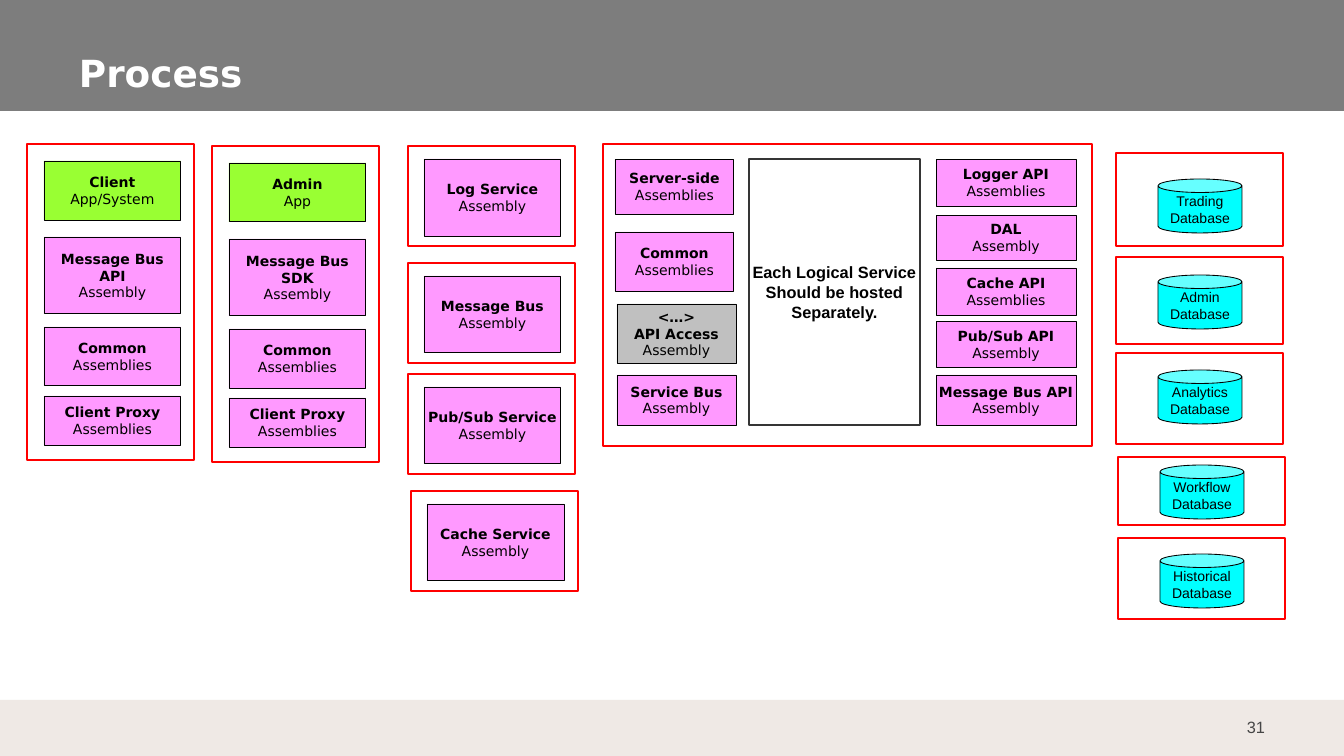
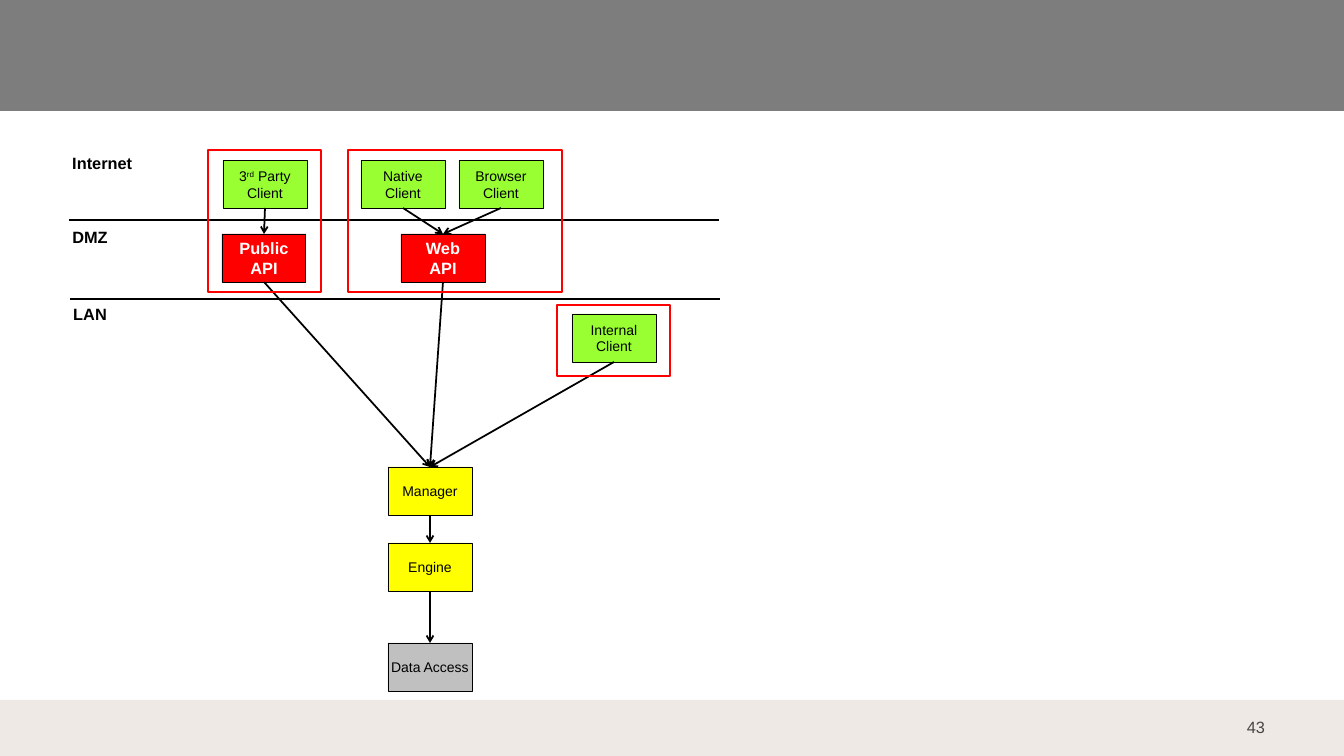
"""Build two architecture slides: process hosting and network zones."""
from pptx import Presentation
from pptx import util as u
from pptx.dml.color import RGBColor
from pptx.enum import shapes, text
from pptx.oxml.ns import qn
from lxml import etree

PX = 914400 // 84
SANS, ARIAL = "DejaVu Sans", "Arial"
BLACK = RGBColor(0x00, 0x00, 0x00)
WHITE = RGBColor(0xFF, 0xFF, 0xFF)
RED = RGBColor(0xFF, 0x00, 0x00)
PINK = RGBColor(0xFF, 0x99, 0xFF)
GREEN = RGBColor(0x99, 0xFF, 0x33)
CYAN = RGBColor(0x00, 0xFF, 0xFF)
YELLOW = RGBColor(0xFF, 0xFF, 0x00)
SILVER = RGBColor(0xC0, 0xC0, 0xC0)
CHARCOAL = RGBColor(0x35, 0x35, 0x35)
BAND_GREY = RGBColor(0x7D, 0x7D, 0x7D)
FOOTER_BEIGE = RGBColor(0xEF, 0xE9, 0xE5)
NUMBER_GREY = RGBColor(0x46, 0x46, 0x46)
RECT, CAN = shapes.MSO_SHAPE.RECTANGLE, shapes.MSO_SHAPE.CAN
LEFT, CENTER, RIGHT = text.PP_ALIGN.LEFT, text.PP_ALIGN.CENTER, text.PP_ALIGN.RIGHT


def write(frame, words, size, font, color=BLACK, bold_lines=0, align=CENTER):
    """Fill a text frame; bold the first lines and raise parts set between carets."""
    frame.word_wrap = False
    frame.vertical_anchor = text.MSO_ANCHOR.MIDDLE
    for number, line in enumerate(words.split("\n")):
        paragraph = frame.add_paragraph() if number else frame.paragraphs[0]
        paragraph.alignment = align
        for part_number, part in enumerate(line.split("^")):
            run = paragraph.add_run()
            run.text = part
            run.font.size, run.font.name = u.Pt(size), font
            run.font.bold = number < bold_lines
            run.font.color.rgb = color
            if part_number % 2:
                run.font._element.set("baseline", "30000")


def block(slide, bounds, fill=None, edge=RED, weight=1.5, kind=RECT):
    """Draw a shape; without a fill it is an open frame."""
    shape = slide.shapes.add_shape(kind, *(value * PX for value in bounds))
    shape.shadow.inherit = False
    if fill is None:
        shape.fill.background()
    else:
        shape.fill.solid()
        shape.fill.fore_color.rgb = fill
    if edge is None:
        shape.line.fill.background()
    else:
        shape.line.color.rgb = edge
        shape.line.width = u.Pt(weight)
    return shape


deck = Presentation()
deck.slide_width, deck.slide_height = 1344 * PX, 756 * PX

slides = []
for page, heading in (("31", "Process"), ("43", None)):
    slide = deck.slides.add_slide(deck.slide_layouts[6])
    slides.append(slide)
    block(slide, (-2, 0, 1348, 111), BAND_GREY, None)
    block(slide, (0, 700, 1344, 56), FOOTER_BEIGE, None)
    captions = [((1210, 707, 67, 40), page, 14, ARIAL, NUMBER_GREY, 0, RIGHT)]
    if heading:
        captions.append(((67, 39, 1194, 62), heading, 32, SANS, WHITE, 1, LEFT))
    for bounds, *style in captions:
        frame = slide.shapes.add_textbox(*(value * PX for value in bounds)).text_frame
        frame.margin_left = frame.margin_right = 12 * PX
        frame.margin_top = frame.margin_bottom = 6 * PX
        write(frame, *style)
        frame.word_wrap = True
        if style[0] == heading:
            frame.vertical_anchor = text.MSO_ANCHOR.BOTTOM
process, network = slides

assemblies = []
for app, bus, dx, dy in (
    ("Client\nApp/System", "API", 0, 0),
    ("Admin\nApp", "SDK", 185, 2),
):
    block(process, (27 + dx, 144 + dy, 167, 316))
    for top, height, fill, words in (
        (161, 59, GREEN, app),
        (237, 77, PINK, f"Message Bus\n{bus}\nAssembly"),
        (327, 59, PINK, "Common\nAssemblies"),
        (396, 49, PINK, "Client Proxy\nAssemblies"),
    ):
        assemblies.append((44 + dx, top + dy, 137, height, fill, words))

for left, top, service in (
    (408, 146, "Log Service"),
    (408, 263, "Message Bus"),
    (408, 374, "Pub/Sub Service"),
    (411, 491, "Cache Service"),
):
    block(process, (left, top, 167, 100))
    assemblies.append((left + 16, top + 13, 137, 77, PINK, f"{service}\nAssembly"))

block(process, (603, 144, 489, 302))
hosting = block(process, (749, 159, 171, 266), edge=CHARCOAL)
write(hosting.text_frame, "Each Logical Service\nShould be hosted\nSeparately.", 14, ARIAL, bold_lines=3)

assemblies += [
    (615, 159, 119, 55, PINK, "Server-side\nAssemblies"),
    (615, 232, 119, 59, PINK, "Common\nAssemblies"),
    (617, 304, 119, 59, SILVER, "<…>\nAPI Access\nAssembly"),
    (617, 375, 119, 50, PINK, "Service Bus\nAssembly"),
]
for top, height, words in (
    (159, 47, "Logger API\nAssemblies"),
    (215, 45, "DAL\nAssembly"),
    (268, 47, "Cache API\nAssemblies"),
    (321, 46, "Pub/Sub API\nAssembly"),
    (375, 50, "Message Bus API\nAssembly"),
):
    assemblies.append((936, top, 140, height, PINK, words))

for *bounds, fill, words in assemblies:
    assembly = block(process, bounds, fill, BLACK, 0.75)
    write(assembly.text_frame, words, 12, SANS, bold_lines=words.count("\n"))

for left, top, height, can_top, store in (
    (1116, 153, 93, 179, "Trading"),
    (1116, 257, 87, 275, "Admin"),
    (1116, 353, 91, 370, "Analytics"),
    (1118, 457, 68, 465, "Workflow"),
    (1118, 538, 81, 554, "Historical"),
):
    block(process, (left, top, 167, height))
    database = block(process, (left + 42, can_top, 84, 54), CYAN, BLACK, 0.75, CAN)
    write(database.text_frame, f"{store}\nDatabase", 12, ARIAL)

for left, top, width, zone in (
    (64, 148, 77, "Internet"),
    (64, 222, 53, "DMZ"),
    (65, 299, 51, "LAN"),
):
    label = network.shapes.add_textbox(left * PX, top * PX, width * PX, 29 * PX)
    write(label.text_frame, zone, 14, ARIAL, bold_lines=1, align=LEFT)

nodes = {}
for node, left, top, fill, words in (
    ("party", 223, 160, GREEN, "3^rd^ Party\nClient"),
    ("native", 361, 160, GREEN, "Native\nClient"),
    ("browser", 459, 160, GREEN, "Browser\nClient"),
    ("public", 222, 234, RED, "Public\nAPI"),
    ("web", 401, 234, RED, "Web\nAPI"),
    ("internal", 572, 314, GREEN, "Internal\nClient"),
    ("manager", 388, 467, YELLOW, "Manager"),
    ("engine", 388, 543, YELLOW, "Engine"),
    ("data", 388, 643, SILVER, "Data Access"),
):
    nodes[node] = block(network, (left, top, 84, 48), fill, BLACK, 0.75)
    if fill == RED:
        write(nodes[node].text_frame, words, 14, ARIAL, WHITE, 2)
    else:
        write(nodes[node].text_frame, words, 12, ARIAL)

borders = [(69, 220), (70, 299)]
calls = [
    ("party", "public"), ("native", "web"), ("browser", "web"),
    ("public", "manager"), ("web", "manager"), ("internal", "manager"),
    ("manager", "engine"), ("engine", "data"),
]
for start, end in borders + calls:
    link = network.shapes.add_connector(shapes.MSO_CONNECTOR.STRAIGHT, 0, 0, 0, 0)
    link.line.color.rgb = BLACK
    properties = link._element.spPr
    if start in nodes:
        link.begin_connect(nodes[start], 2)
        link.end_connect(nodes[end], 0)
        link.line.width = u.Pt(1.5)
        etree.SubElement(properties.find(qn("a:ln")), qn("a:tailEnd"), type="arrow")
    else:
        link.begin_x, link.end_x = start * PX, (start + 650) * PX
        link.begin_y = link.end_y = end * PX
        link.line.width = u.Pt(2)
    etree.SubElement(properties, qn("a:effectLst"))

for bounds in ((208, 150, 113, 142), (348, 150, 214, 142), (557, 305, 113, 71)):
    block(network, bounds)

deck.save("out.pptx")
